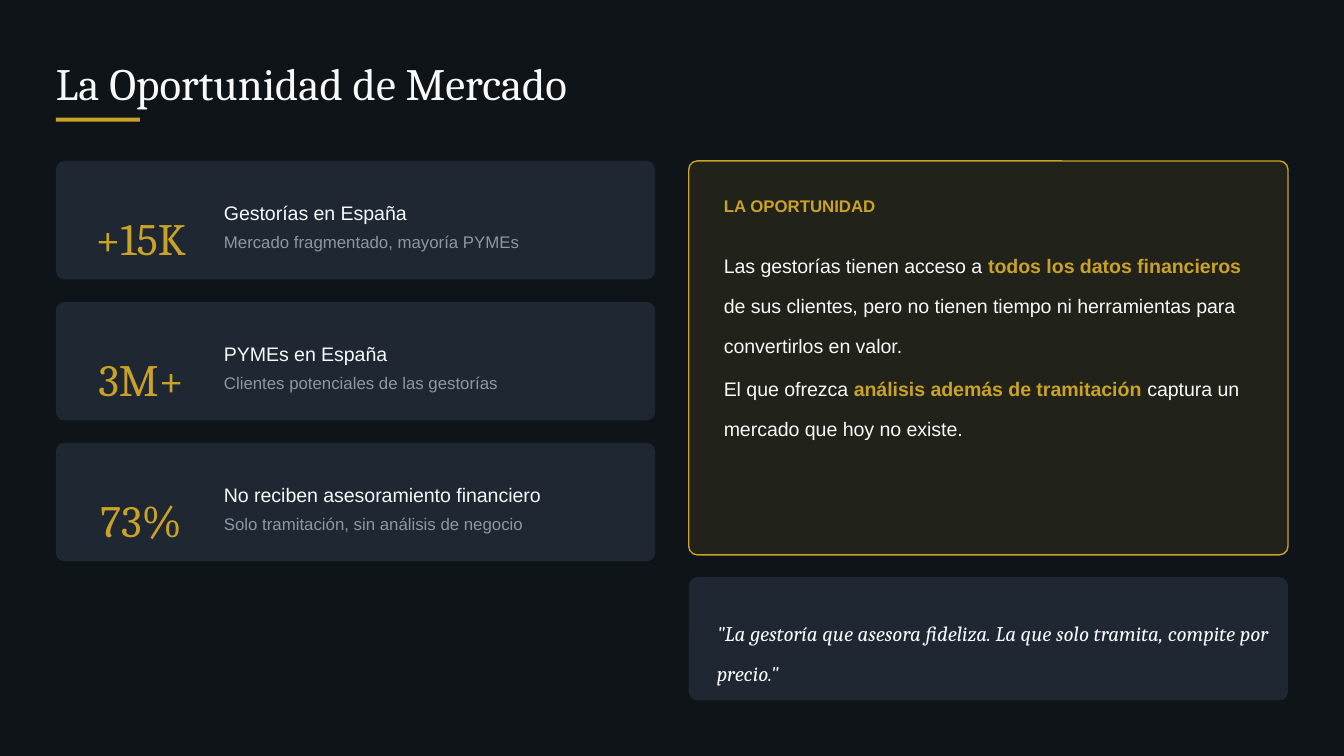
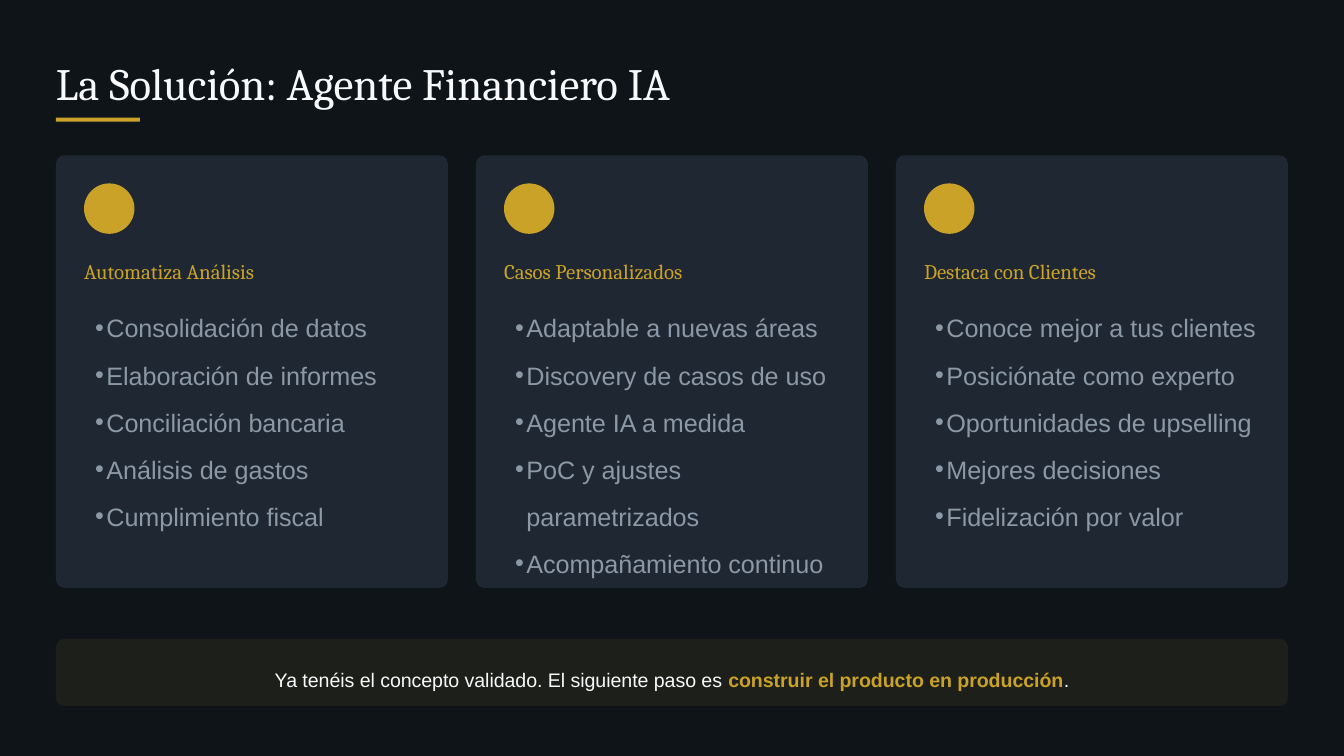
from lxml import etree
from pptx import Presentation
from pptx.dml.color import RGBColor
from pptx.enum.shapes import MSO_SHAPE as SHAPE
from pptx.enum.text import MSO_ANCHOR as ANCHOR, MSO_AUTO_SIZE as AUTOSIZE, PP_ALIGN as ALIGN
from pptx.oxml.ns import qn
from pptx.util import Pt

INK = RGBColor(0x0F, 0x14, 0x19)
CARD = RGBColor(0x1E, 0x27, 0x32)
GOLD = RGBColor(0xC9, 0xA2, 0x27)
WHITE = RGBColor(0xF7, 0xF9, 0xFA)
GREY = RGBColor(0x8B, 0x98, 0xA5)
SERIF, SANS = "Cambria", "Arial"

WIDTH, HEIGHT = 720, 405
MARGIN = 30
CONTENT_W = WIDTH - 2 * MARGIN
RADIUS = 4.5

MARKET_TITLE = "La Oportunidad de Mercado"
STATS = [
    ("+15K", "Gestorías en España", "Mercado fragmentado, mayoría PYMEs"),
    ("3M+", "PYMEs en España", "Clientes potenciales de las gestorías"),
    ("73%", "No reciben asesoramiento financiero",
     "Solo tramitación, sin análisis de negocio"),
]
PANEL_HEADING = "LA OPORTUNIDAD"
PANEL_TEXTS = [
    (127.5, 53, "Las gestorías tienen acceso a *todos los datos financieros* de sus clientes, "
     "pero no tienen tiempo ni herramientas para convertirlos en valor."),
    (193, 36, "El que ofrezca *análisis además de tramitación* captura un mercado "
     "que hoy no existe."),
]
QUOTE = '"La gestoría que asesora fideliza. La que solo tramita, compite por precio."'

SOLUTION_TITLE = "La Solución: Agente Financiero IA"
PILLARS = [
    ("Automatiza Análisis", 117, [
        "Consolidación de datos", "Elaboración de informes", "Conciliación bancaria",
        "Análisis de gastos", "Cumplimiento fiscal"]),
    ("Casos Personalizados", 138, [
        "Adaptable a nuevas áreas", "Discovery de casos de uso", "Agente IA a medida",
        "PoC y ajustes parametrizados", "Acompañamiento continuo"]),
    ("Destaca con Clientes", 117, [
        "Conoce mejor a tus clientes", "Posiciónate como experto",
        "Oportunidades de upselling", "Mejores decisiones", "Fidelización por valor"]),
]
CLOSING = ("Ya tenéis el concepto validado. El siguiente paso es "
           "*construir el producto en producción*.")


def place(sp, x, y, w, h):
    sp.left, sp.top, sp.width, sp.height = Pt(x), Pt(y), Pt(w), Pt(h)


def add_block(s, kind, x, y, w, h, color, alpha=None, line=None):
    sp = s.shapes.add_shape(kind, Pt(x), Pt(y), Pt(w), Pt(h))
    sp.shadow.inherit = False
    sp.fill.solid()
    sp.fill.fore_color.rgb = color
    if alpha:
        clr = sp.fill._xPr.find(qn("a:solidFill")).find(qn("a:srgbClr"))
        etree.SubElement(clr, qn("a:alpha"), val=str(alpha * 1000))
    if line:
        sp.line.color.rgb = line
        sp.line.width = Pt(0.75)
    else:
        sp.line.fill.background()
    if kind == SHAPE.ROUNDED_RECTANGLE:
        sp.adjustments[0] = RADIUS / min(w, h)
    return sp


def add_card(s, x, y, w, h, color=CARD, **style):
    return add_block(s, SHAPE.ROUNDED_RECTANGLE, x, y, w, h, color, **style)


def prepare_frame(sp, inset=0, wrap=True):
    tf = sp.text_frame
    tf.auto_size = AUTOSIZE.NONE
    tf.word_wrap = wrap
    tf.vertical_anchor = ANCHOR.TOP
    tf.margin_left = Pt(inset)
    tf.margin_top = tf.margin_right = tf.margin_bottom = 0
    return tf


def write(p, text, size, font, color, spacing=1.0, align=ALIGN.LEFT, bold=False, italic=False):
    p.alignment = align
    p.line_spacing = spacing
    p.space_before = p.space_after = Pt(0)
    f = p.font
    f.name, f.size, f.bold, f.italic = font, Pt(size), bold, italic
    f.color.rgb = color
    for i, part in enumerate(text.split("*")):
        r = p.add_run()
        r.text = part
        if i % 2:
            r.font.bold = True
            r.font.color.rgb = GOLD


def add_text(s, x, y, w, h, text, size, font, color, **style):
    sp = s.shapes.add_textbox(Pt(x), Pt(y), Pt(w), Pt(h))
    write(prepare_frame(sp).paragraphs[0], text, size, font, color, **style)


def add_bullet(p):
    pPr = p._p.get_or_add_pPr()
    pPr.set("marL", str(Pt(6)))
    pPr.set("indent", str(Pt(-6.75)))
    clr = etree.Element(qn("a:buClr"))
    etree.SubElement(clr, qn("a:srgbClr"), val=str(GREY))
    font = etree.Element(qn("a:buFont"), typeface=SANS)
    char = etree.Element(qn("a:buChar"), char="•")
    for el in (clr, font, char):
        pPr.find(qn("a:defRPr")).addprevious(el)


def fill_list(sp, items):
    tf = prepare_frame(sp, inset=6)
    for i, item in enumerate(items):
        p = tf.add_paragraph() if i else tf.paragraphs[0]
        write(p, item, 13.5, SANS, GREY, spacing=1.56)
        add_bullet(p)


def add_slide(prs, layout, title, title_w):
    s = prs.slides.add_slide(prs.slide_layouts.get_by_name(layout))
    s.background.fill.solid()
    s.background.fill.fore_color.rgb = INK
    sp = s.shapes.title
    place(sp, MARGIN, 30, title_w, 24)
    write(prepare_frame(sp, wrap=False).paragraphs[0], title, 24, SERIF, WHITE)
    add_block(s, SHAPE.RECTANGLE, MARGIN, 63, 45, 2.25, GOLD)
    return s


def build_market(prs):
    s = add_slide(prs, "Title Only", MARKET_TITLE, 338)
    top, gap, stat_h = 86.25, 12, 63.5
    col_gap = 18
    col_w = (CONTENT_W - col_gap) / 2
    right = MARGIN + col_w + col_gap

    for i, (figure, label, detail) in enumerate(STATS):
        y = top + i * (stat_h + gap)
        add_card(s, MARGIN, y, col_w, stat_h)
        add_text(s, 45, y + 15, 61, 34, figure, 24, SERIF, GOLD,
                 spacing=1.4, align=ALIGN.CENTER)
        add_text(s, 120, y + 16.5, 175, 14.5, label, 10.5, SANS, WHITE, spacing=1.4)
        add_text(s, 120, y + 33.75, 175, 12.5, detail, 9, SANS, GREY, spacing=1.4)

    panel_h = 211
    add_card(s, right, top, col_w, panel_h, GOLD, alpha=10, line=GOLD)
    text_x, text_w = right + 18.75, 289.5
    add_text(s, text_x, 105, text_w, 11, PANEL_HEADING, 9, SANS, GOLD, bold=True)
    for y, h, text in PANEL_TEXTS:
        add_text(s, text_x, y, text_w, h, text, 10.5, SANS, WHITE, spacing=1.7)

    quote_y = top + panel_h + gap
    add_card(s, right, quote_y, col_w, 66)
    add_text(s, right + 15, quote_y + 15, 297, 36, QUOTE, 11.2, SERIF, WHITE,
             spacing=1.6, italic=True)


def build_solution(prs):
    s = add_slide(prs, "Comparison", SOLUTION_TITLE, 391)
    top, gap, pad = 83.25, 15, 15
    card_w = (CONTENT_W - gap * (len(PILLARS) - 1)) / len(PILLARS)
    *bodies, spare = [sp for sp in s.placeholders if sp.placeholder_format.idx in (1, 2, 3, 4)]
    spare._element.getparent().remove(spare._element)

    for i, (heading, list_h, items) in enumerate(PILLARS):
        x = MARGIN + i * (card_w + gap)
        add_card(s, x, top, card_w, 231.75)
        add_block(s, SHAPE.OVAL, x + pad, top + pad, 27, 27, GOLD)
        add_text(s, x + pad, 136, 184, 13.5, heading, 11.2, SERIF, GOLD, spacing=1.2)
        body = bodies[i]
        place(body, x + pad, 158.5, card_w - 2 * pad, list_h)
        fill_list(body, items)
        s.shapes._spTree.append(body._element)

    add_card(s, MARGIN, 342.25, CONTENT_W, 36, GOLD, alpha=8)
    add_text(s, 42, 353, WIDTH - 84, 14.5, CLOSING, 10.5, SANS, WHITE,
             spacing=1.4, align=ALIGN.CENTER)


def main():
    prs = Presentation()
    prs.slide_width, prs.slide_height = Pt(WIDTH), Pt(HEIGHT)
    build_market(prs)
    build_solution(prs)
    prs.save("out.pptx")


if __name__ == "__main__":
    main()
